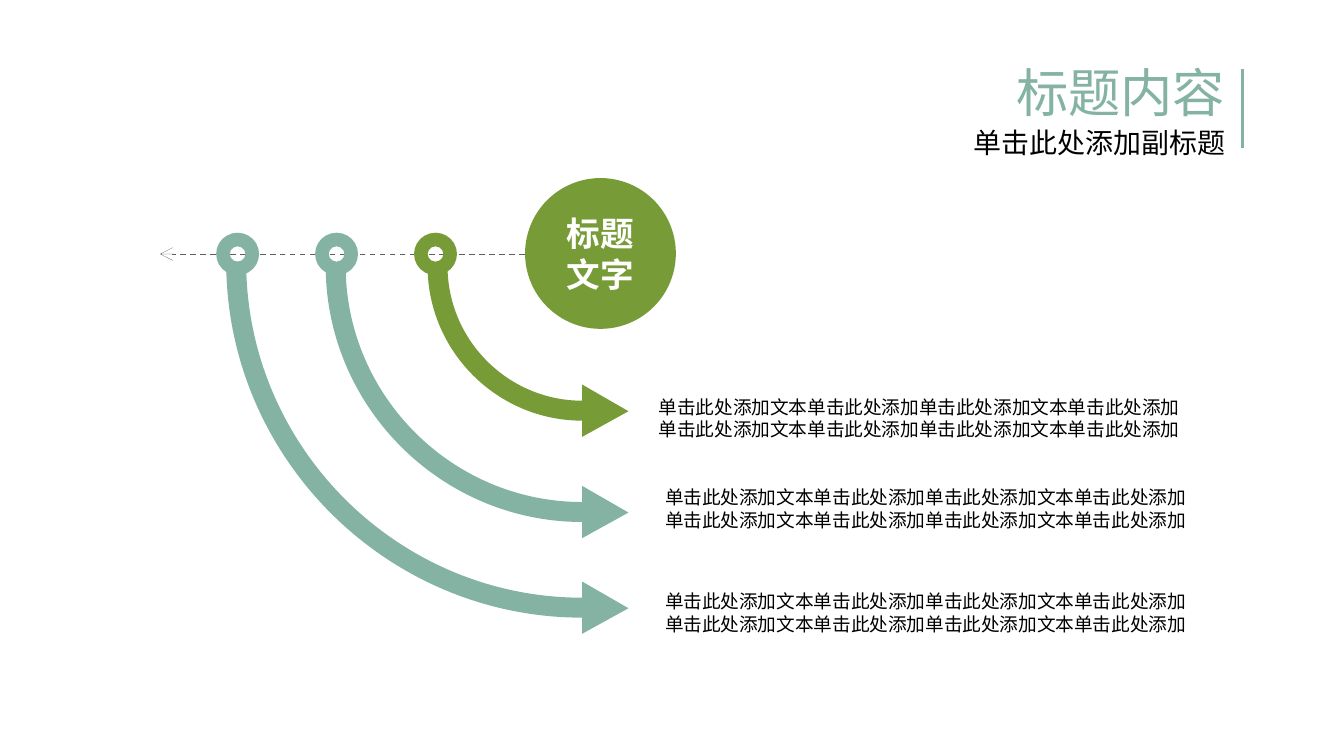
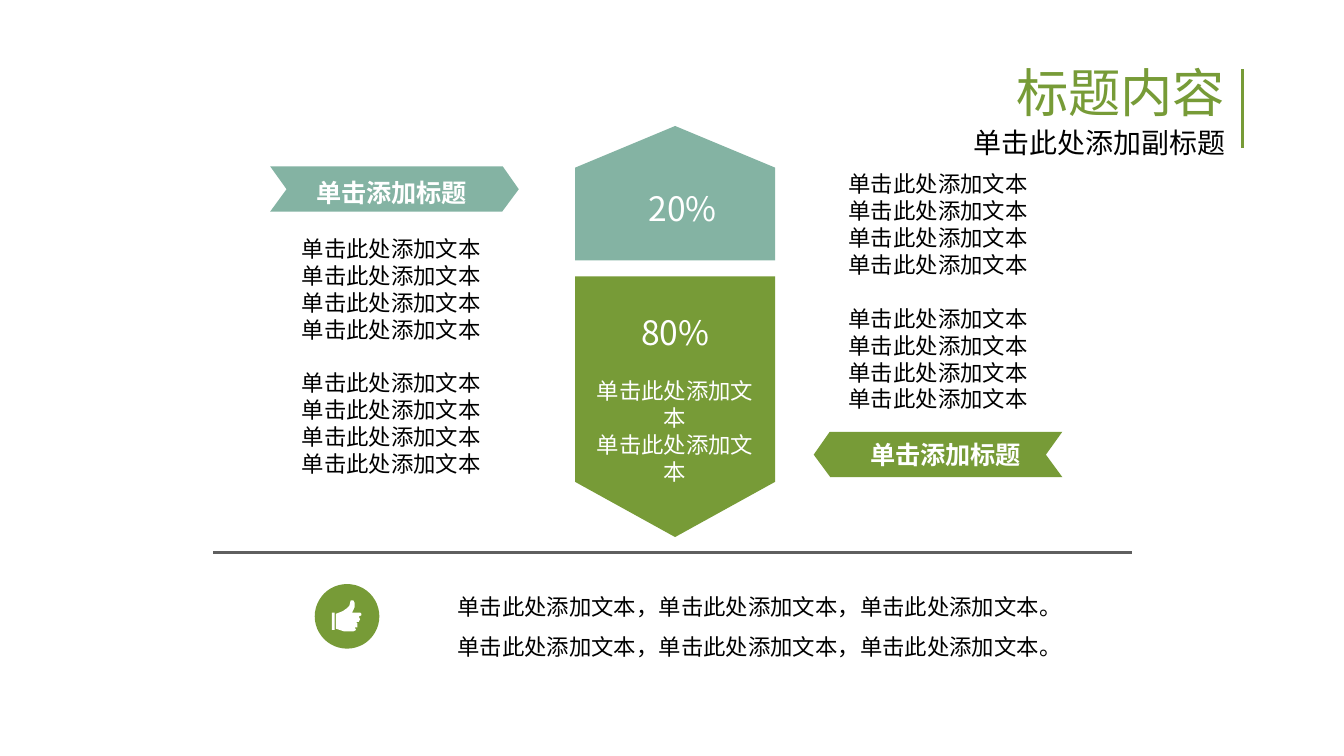
import lxml.etree
import pptx
import pptx.dml.color
import pptx.enum.dml
import pptx.enum.shapes
import pptx.enum.text
import pptx.oxml.ns
import pptx.util

Pt = pptx.util.Pt
SHAPE = pptx.enum.shapes.MSO_SHAPE
ALIGN = pptx.enum.text.PP_ALIGN
ANCHOR = pptx.enum.text.MSO_ANCHOR
qn = pptx.oxml.ns.qn

# Shared style
FONT = "Noto Sans CJK SC"
TEAL, GREEN, GREY, WHITE, BLACK = "84B3A3", "779B37", "5F5F5F", "FFFFFF", "000000"

# Content
TITLE, SUBTITLE = "标题内容", "单击此处添加副标题"
HUB = "标题文字"
NOTE = ["单击此处添加文本单击此处添加单击此处添加文本单击此处添加"] * 2
# outer radius, centre y, ring centre x, colour, note left, note top
ARROWS = [
    (82.8, 142.6, 233.3, GREEN, 345.8, 208.4),
    (137.4, 142.3, 180.3, TEAL, 349.2, 257),
    (190.7, 140.2, 127.3, TEAL, 349.2, 312.7),
]
ITEM = "单击此处添加文本"
RIBBON_TITLE = "单击添加标题"
# share, label left, label top, plate box, rotation, point depth, colour
PLATES = [
    ("20%", 334.8, 97.2, (325.7, 49.9, 72, 107.2), 270, 0.31, TEAL),
    ("80%", 330.8, 163.4, (291.8, 164.3, 139.7, 107.2), 90, 0.276, GREEN),
]
LISTS = [(143, 122.4), (436, 87.8)]
SUMMARY = ["单击此处添加文本，单击此处添加文本，单击此处添加文本。"] * 2
RIBBON = [(144.7, 89.1), (269.3, 89.1), (277.9, 101.4), (269, 113.4),
          (144.7, 113.4), (153.5, 101.4)]
# Icon outlines in hundredths of an inch from the icon's corner
CUFF = [(0, 9), (2, 9), (2, 22), (0, 22)]
THUMB = [(21, 9), (15, 9), (17, 5), (17, 2), (16, 0), (14, 0), (13, 4), (11, 6),
         (8, 8), (3, 10), (3, 21), (9, 23), (16, 23), (18, 22), (17, 20), (19, 20),
         (19, 17), (18, 16), (20, 16), (21, 14), (20, 12), (22, 11), (22, 10)]


def rgb(color):
    return pptx.dml.color.RGBColor.from_string(color)


def write(tf, lines, size=12, color=BLACK, bold=False, align=ALIGN.LEFT,
          anchor=ANCHOR.TOP, spacing=None, gap_before=None):
    """Fill a text frame; gap_before maps a line index to space before it."""
    tf.word_wrap = True
    tf.auto_size = pptx.enum.text.MSO_AUTO_SIZE.NONE
    tf.vertical_anchor = anchor
    for i, line in enumerate(lines):
        p = tf.paragraphs[0] if i == 0 else tf.add_paragraph()
        p.alignment = align
        p.space_before = Pt((gap_before or {}).get(i, 0))
        if spacing:
            p.line_spacing = spacing
        r = p.add_run()
        r.text = line
        r.font.size = Pt(size)
        r.font.bold = bold
        r.font.color.rgb = rgb(color)
        r.font.name = FONT
        lxml.etree.SubElement(r.font._element, qn("a:ea")).set("typeface", FONT)


def add_text(s, box, lines, **fmt):
    sp = s.shapes.add_textbox(*map(Pt, box))
    write(sp.text_frame, lines, **fmt)


def paint(sp, color):
    sp.shadow.inherit = False
    sp.fill.solid()
    sp.fill.fore_color.rgb = rgb(color)
    sp.line.fill.background()
    return sp


def add_shape(s, kind, box, color):
    return paint(s.shapes.add_shape(kind, *map(Pt, box)), color)


def add_outline(s, contours, color):
    """Draw closed contours, given in points, as one shape."""
    contours = [[(Pt(x), Pt(y)) for x, y in c] for c in contours]
    builder = s.shapes.build_freeform(*contours[0][0], scale=1.0)
    for i, contour in enumerate(contours):
        if i:
            builder.move_to(*contour[0])
        builder.add_line_segments(contour[1:], close=True)
    return paint(builder.convert_to_shape(), color)


def bend(sp, segment, controls):
    """Turn one straight segment of an outline into a Bezier curve."""
    line = list(sp._element.iter(qn("a:lnTo")))[segment]
    line.tag = qn("a:cubicBezTo")
    for i, (x, y) in enumerate(controls):
        pt = lxml.etree.Element(qn("a:pt"))
        pt.set("x", str(Pt(x) - sp.left))
        pt.set("y", str(Pt(y) - sp.top))
        line.insert(i, pt)


def add_line(s, x1, y1, x2, y2, color, width):
    line = s.shapes.add_connector(pptx.enum.shapes.MSO_CONNECTOR.STRAIGHT,
                                  *map(Pt, (x1, y1, x2, y2)))
    line.line.color.rgb = rgb(color)
    line.line._get_or_add_ln().set("w", str(Pt(width)))
    lxml.etree.SubElement(line._element.spPr, qn("a:effectLst"))
    return line


def add_slide(prs, color):
    """Slide with the right-aligned title, subtitle and accent rule."""
    s = prs.slides.add_slide(prs.slide_layouts[5])
    title = s.shapes.title
    title.left, title.top, title.width, title.height = map(Pt, (388.4, 32.4, 275, 36))
    write(title.text_frame, [TITLE], size=28, color=color, align=ALIGN.RIGHT, spacing=0.9)
    add_text(s, (388.4, 65.9, 275, 28.8), [SUBTITLE], size=15, align=ALIGN.RIGHT, spacing=0.9)
    add_line(s, 665.8, 37, 665.8, 79.2, color, 1.5)
    return s


def add_curved_arrow(s, radius, cy, color):
    """Quarter-circle band that ends in a head pointing right."""
    cx, band, head_half, head_length = 311.9, 10.7, 14, 24.8
    inner = radius - band
    axis = cy + radius - band / 2
    sp = add_outline(s, [[
        (cx, cy + radius), (cx - radius, cy), (cx - inner, cy), (cx, cy + inner),
        (cx, axis - head_half), (cx + head_length, axis + 0.3), (cx, axis + head_half),
    ]], color)
    k = 0.55
    # Bend the inner side first so that segment numbers stay valid
    bend(sp, 2, [(cx - inner, cy + k * inner), (cx - k * inner, cy + inner)])
    bend(sp, 0, [(cx - k * radius, cy + radius), (cx - radius, cy + k * radius)])


def build_arrows(prs):
    s = add_slide(prs, TEAL)
    axis_y = 136.1

    # Hub and dashed axis
    hub = add_shape(s, SHAPE.OVAL, (281.3, 95.4, 80.8, 80.8), GREEN)
    write(hub.text_frame, [HUB], size=18, color=WHITE, bold=True,
          align=ALIGN.CENTER, anchor=ANCHOR.MIDDLE)
    axis = add_line(s, 281.3, axis_y, 85.7, axis_y, GREY, 0)
    axis.line.dash_style = pptx.enum.dml.MSO_LINE.DASH
    lxml.etree.SubElement(axis.line._get_or_add_ln(), qn("a:tailEnd")).set("type", "arrow")

    # Arrows with their notes, then the rings on top
    for radius, cy, _, color, left, top in ARROWS:
        add_curved_arrow(s, radius, cy, color)
        add_text(s, (left, top, 360, 31.4), NOTE, size=10)
    for _, _, ring_x, color, _, _ in ARROWS:
        ring = add_shape(s, SHAPE.DONUT, (ring_x - 11.5, axis_y - 11.4, 23, 22.8), color)
        ring.adjustments[0] = 0.32


def build_shares(prs):
    s = add_slide(prs, GREEN)

    # Central plates
    for share, left, top, box, rotation, depth, color in PLATES:
        plate = add_shape(s, SHAPE.PENTAGON, box, color)
        plate.rotation = rotation
        plate.adjustments[0] = depth
        add_text(s, (left, top, 61.9, 28.8), [share], size=18, color=WHITE, align=ALIGN.CENTER)
    add_text(s, (308, 198.7, 107.3, 65.5), [ITEM] * 2, color=WHITE, align=ALIGN.CENTER)

    # Ribbons: the right one is the left one mirrored and moved down
    mirrored = [(713.8 - x, y + 142.2) for x, y in RIBBON]
    for points, left, top, color in ((RIBBON, 147.6, 91.4, TEAL),
                                     (mirrored, 444.2, 231.8, GREEN)):
        add_outline(s, [points], color)
        add_text(s, (left, top, 124.6, 23.8), [RIBBON_TITLE], size=13.5, color=WHITE,
                 bold=True, align=ALIGN.CENTER)

    # Lists in two groups of four
    for left, top in LISTS:
        add_text(s, (left, top, 133.2, 138.2), [ITEM] * 8, align=ALIGN.CENTER,
                 gap_before={4: 14.4})

    # Summary below the rule
    add_line(s, 114.2, 295.9, 606.6, 295.9, GREY, 1.5)
    add_shape(s, SHAPE.OVAL, (168.6, 312.9, 34.6, 34.6), GREEN)
    icon = [[(177.8 + 0.72 * x, 321.7 + 0.72 * y) for x, y in c] for c in (CUFF, THUMB)]
    add_outline(s, icon, WHITE)
    add_text(s, (211.9, 306.9, 390.2, 51.1), SUMMARY, align=ALIGN.CENTER, spacing=1.5)


def main():
    prs = pptx.Presentation()
    prs.slide_width, prs.slide_height = Pt(720), Pt(405)
    build_arrows(prs)
    build_shares(prs)
    prs.save("out.pptx")


if __name__ == "__main__":
    main()
